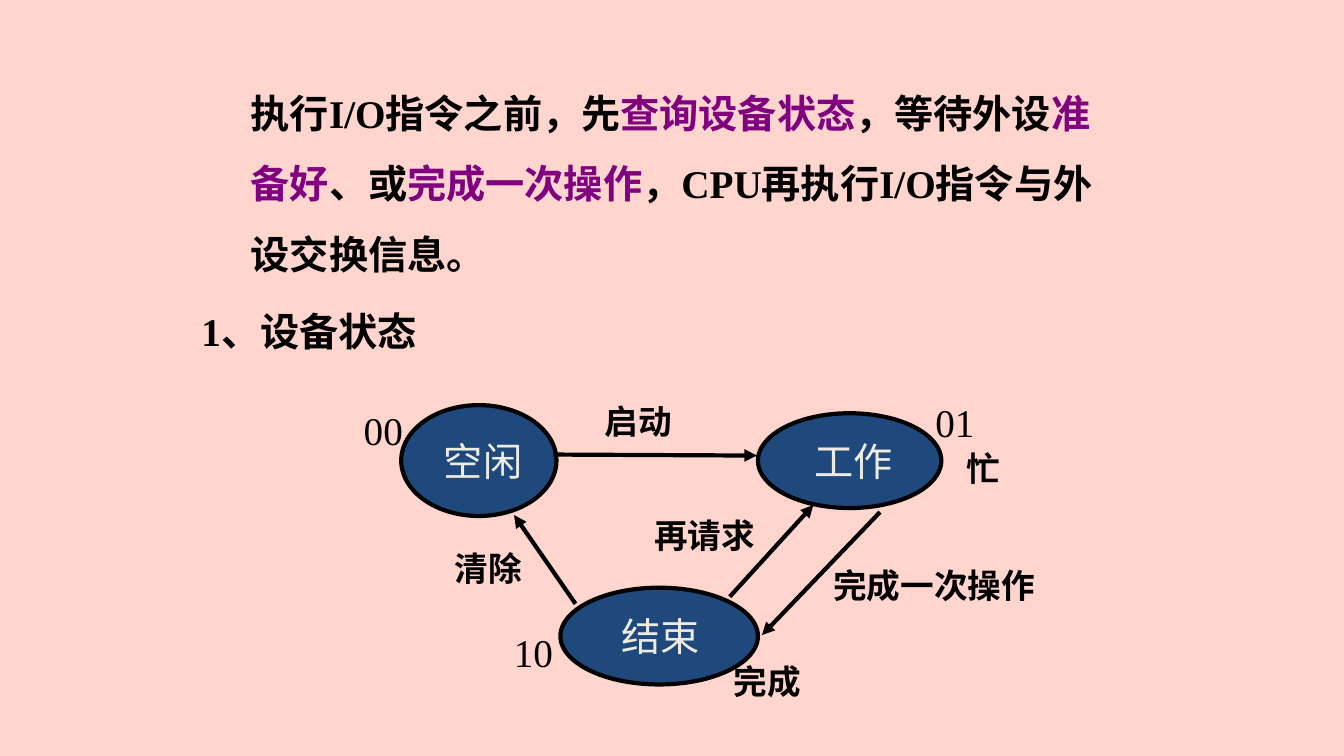
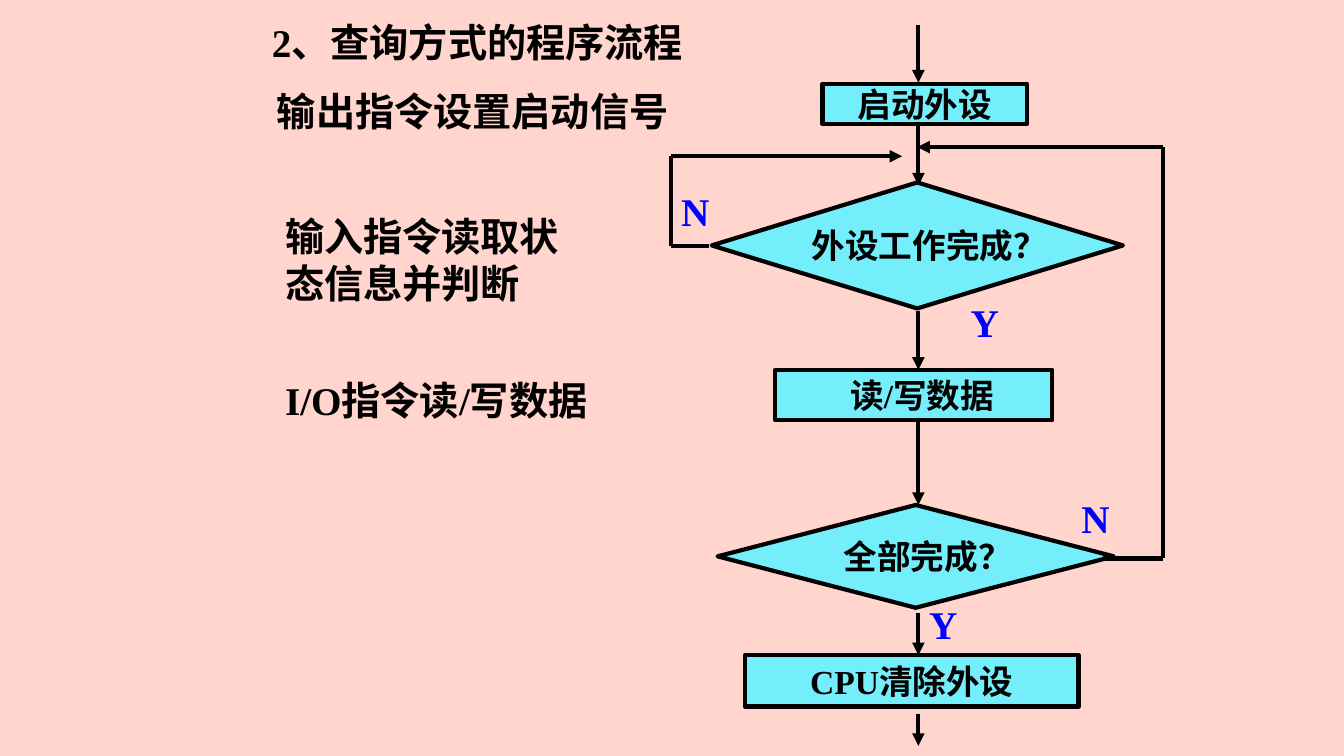
from itertools import pairwise

from lxml import etree
from pptx import Presentation
from pptx.dml.color import RGBColor
from pptx.enum.shapes import MSO_CONNECTOR, MSO_SHAPE
from pptx.enum.text import MSO_ANCHOR, PP_ALIGN
from pptx.oxml.ns import qn
from pptx.util import Pt

OVAL = MSO_SHAPE.OVAL
BOX = MSO_SHAPE.RECTANGLE
DECISION = MSO_SHAPE.FLOWCHART_DECISION
STRAIGHT = MSO_CONNECTOR.STRAIGHT
CENTER = PP_ALIGN.CENTER
MIDDLE = MSO_ANCHOR.MIDDLE

# Shared style
FONT = "Times New Roman"
LARGE, SMALL = 28, 24
BLACK, PURPLE, BLUE = "000000", "800080", "0000FF"
PINK, NAVY, CREAM, CYAN = "FFD5CD", "1F497D", "EEECE1", "75EEFB"


def rgb(value):
    return RGBColor.from_string(value)


class Deck:
    """Holds the presentation, its style and the current slide."""

    def __init__(self):
        self.prs = Presentation()
        self.prs.slide_width, self.prs.slide_height = Pt(960), Pt(540)
        background = self.prs.slide_master.background.fill
        background.solid()
        background.fore_color.rgb = rgb(PINK)
        self.shapes = None

    def new_slide(self):
        self.shapes = self.prs.slides.add_slide(self.prs.slide_layouts[6]).shapes

    def style(self, paragraph, size, color, bold):
        font = paragraph.font
        font.name, font.size, font.bold = FONT, Pt(size), bold
        font.color.rgb = rgb(color)

    def text(self, x, y, width, runs, size=LARGE, color=BLACK, bold=True,
             height=41, spacing=1.0):
        """Place a text box; runs is a string or (string, color) pairs."""
        frame = self.shapes.add_textbox(Pt(x), Pt(y), Pt(width), Pt(height)).text_frame
        frame.word_wrap = True
        paragraph = frame.paragraphs[0]
        paragraph.line_spacing = spacing
        self.style(paragraph, size, color, bold)
        if isinstance(runs, str):
            paragraph.add_run().text = runs
            return
        for words, run_color in runs:
            run = paragraph.add_run()
            run.text = words
            run.font.color.rgb = rgb(run_color)

    def node(self, kind, x, y, width, height, label, shift=0, fill=CYAN,
             size=SMALL, color=BLACK, bold=True):
        """Place an outlined shape whose label sits shift points right of centre."""
        shape = self.shapes.add_shape(kind, Pt(x), Pt(y), Pt(width), Pt(height))
        shape.shadow.inherit = False
        shape.fill.solid()
        shape.fill.fore_color.rgb = rgb(fill)
        shape.line.color.rgb = rgb(BLACK)
        shape.line.width = Pt(3)
        frame = shape.text_frame
        frame.word_wrap = False
        frame.vertical_anchor = MIDDLE
        frame.margin_left = Pt(2 * shift)
        frame.margin_right = frame.margin_top = frame.margin_bottom = 0
        paragraph = frame.paragraphs[0]
        paragraph.alignment = CENTER
        self.style(paragraph, size, color, bold)
        paragraph.add_run().text = label

    def arrow(self, *points):
        """Join the points with straight lines; the last one ends in an arrowhead."""
        for start, end in pairwise(points):
            line = self.shapes.add_connector(STRAIGHT, *map(Pt, start + end))
            line.line.color.rgb = rgb(BLACK)
            line.line.width = Pt(3)
            properties = line.element.spPr
            etree.SubElement(properties, qn("a:effectLst"))
        etree.SubElement(properties.find(qn("a:ln")), qn("a:tailEnd"), type="triangle")


deck = Deck()

# Slide 1: device states
deck.new_slide()
deck.text(172.1, 43.2, 630.7, [
    ("执行I/O指令之前，先", BLACK),
    ("查询设备状态", PURPLE),
    ("，等待外设", BLACK),
    ("准备好", PURPLE),
    ("、或", BLACK),
    ("完成一次操作", PURPLE),
    ("，CPU再执行I/O指令与外设交换信息。", BLACK),
], height=157, spacing=1.5)
deck.text(136.8, 199.4, 202.3, "1、设备状态", height=58, spacing=1.5)

# States
for x, y, width, height, state, shift in [
    (286.6, 289.4, 110.9, 79.2, "空闲", 3),
    (541.4, 295.2, 131, 67.7, "工作", 3),
    (400.3, 419.8, 141.1, 69.1, "结束", 1),
]:
    deck.node(OVAL, x, y, width, height, state, shift, NAVY, LARGE, CREAM, False)

# Transitions
deck.arrow((395.3, 324.7), (540.7, 325.4))
deck.arrow((628.6, 365.8), (544.3, 453.6))
deck.arrow((411.1, 431.3), (367.2, 367.9))
deck.arrow((521.3, 426.2), (581, 360.7))

# Transition names and state meanings
for x, y, width, name in [
    (424.8, 283, 89.3, "启动"),
    (588.2, 400.3, 172.8, "完成一次操作"),
    (317.5, 388.1, 104.4, "清除"),
    (460.1, 364.3, 104.4, "再请求"),
    (683.3, 316.1, 46.1, "忙"),
    (517, 468.7, 150.5, "完成"),
]:
    deck.text(x, y, width, name, SMALL, height=36)

# State codes
for x, y, code in [(252.7, 286.6, "00"), (661, 280.8, "01"), (360, 445, "10")]:
    deck.text(x, y, 54, code, bold=False)

# Slide 2: program flow of polling
deck.new_slide()
deck.text(187.2, 9.4, 473.8, "2、查询方式的程序流程")

# Explanations beside the flow
deck.text(190.8, 59, 342.7, "输出指令设置启动信号")
deck.text(196.6, 148.3, 220.3, "输入指令读取状态信息并判断", height=74)
deck.text(196.6, 265, 273.6, "I/O指令读/写数据")

# Downward flow along one axis
AXIS = 656
for top, bottom in [(18, 59), (90, 132.5), (222.5, 264.2), (301.7, 360.7),
                    (437.8, 468), (509.8, 532.8)]:
    deck.arrow((AXIS, top), (AXIS, bottom))

# Steps and decisions
deck.node(BOX, 587.5, 59.8, 146.2, 28.8, "启动外设")
deck.node(DECISION, 508.3, 130.3, 293.8, 90, "外设工作完成？", 8.6)
deck.node(BOX, 553.7, 264.2, 198, 36, "读/写数据", 6)
deck.node(DECISION, 512.6, 360.7, 283, 73.4, "全部完成？", 8.6)
deck.node(BOX, 532.1, 468, 238.3, 36.7, "CPU清除外设")

# Loops back to the first decision
deck.arrow((506.2, 175.7), (479.5, 175.7), (479.5, 111.6), (644.4, 111.6))
deck.arrow((787.7, 398.9), (830.9, 398.9), (830.9, 105.1), (655.2, 105.1))

# Branch answers
for x, y, answer in [(479.5, 130.3, "N"), (686.2, 209.5, "Y"),
                     (765.4, 349.2, "N"), (656.6, 425.5, "Y")]:
    deck.text(x, y, 54, answer, color=BLUE)

deck.prs.save("out.pptx")
